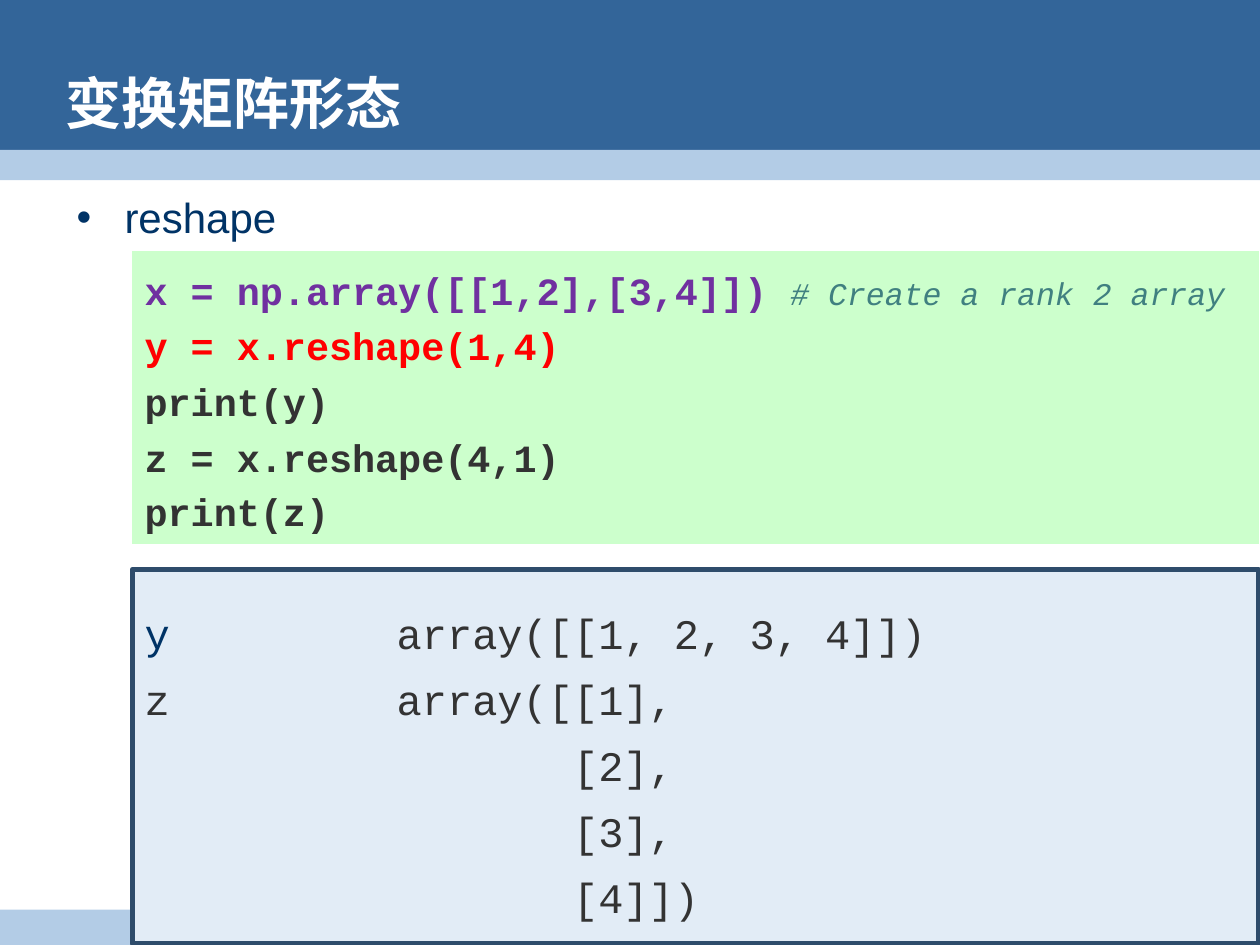
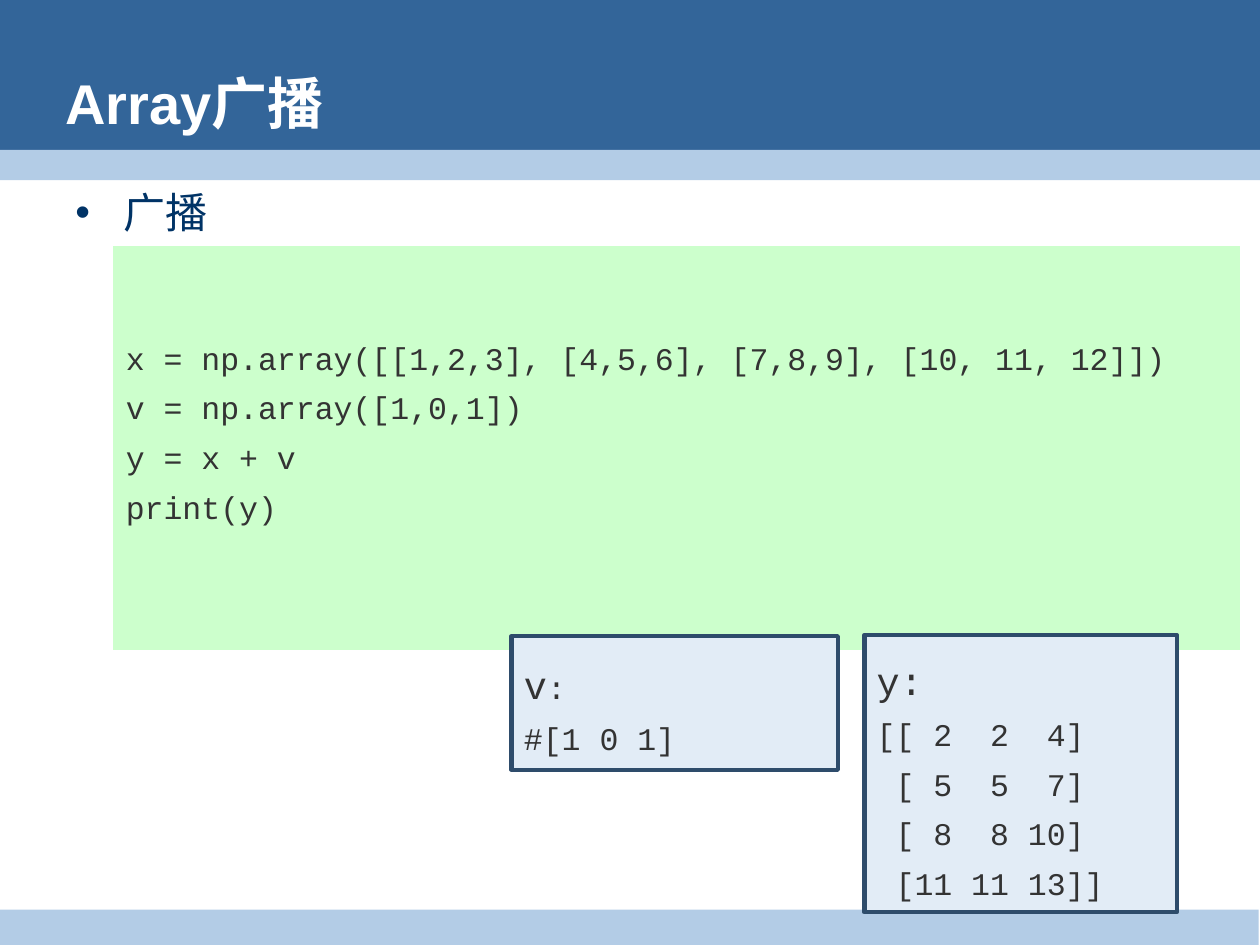
import dataclasses
import typing

import lxml.etree
import pptx
import pptx.dml.color
import pptx.enum.shapes
import pptx.enum.text
import pptx.oxml.ns
import pptx.shapes.autoshape
import pptx.slide
import pptx.text.text
import pptx.util

Inches = pptx.util.Inches
Pt = pptx.util.Pt
Preset = pptx.enum.shapes.MSO_SHAPE
Anchor = pptx.enum.text.MSO_ANCHOR


@dataclasses.dataclass(frozen=True)
class Theme:
    header: str = "336599"
    band: str = "B3CCE6"
    white: str = "FFFFFF"
    navy: str = "003366"
    ink: str = "333333"
    code_fill: str = "CCFFCC"
    output_fill: str = "E2ECF6"
    output_edge: str = "2E4C6B"
    array: str = "7030A0"
    comment: str = "408080"
    highlight: str = "FF0000"
    prose: str = "Arial"
    mono: str = "Courier New"
    title_size: float = 32
    body_size: float = 24
    code_size: float = 22
    small_size: float = 18


THEME = Theme()


class Box(typing.NamedTuple):
    left: float
    top: float
    width: float
    height: float

    def lengths(self) -> list[pptx.util.Length]:
        return [Inches(value) for value in self]


class Span(typing.NamedTuple):
    text: str
    color: str = THEME.ink
    size: float = THEME.small_size
    bold: bool = False
    italic: bool = False


class Line(typing.NamedTuple):
    spans: list[Span]
    before: float = 6.8
    spacing: float = 1.0


@dataclasses.dataclass(frozen=True)
class Card:
    box: Box
    lines: list[Line]
    preset: Preset = Preset.RECTANGLE
    fill: str = THEME.output_fill
    edge_width: float = 2.5
    top_inset: float = 0.14
    bottom_inset: float = 0.05
    tabs: tuple[int, ...] = ()


@dataclasses.dataclass(frozen=True)
class Page:
    title: str
    topic: str
    topic_box: Box
    cards: list[Card]


BANDS = [
    (Box(0, 0, 10, 1.31), THEME.header),
    (Box(0, 1.19, 10, 0.24), THEME.band),
    (Box(0, 7.22, 9.99, 0.3), THEME.band),
]
TITLE_BOX = Box(0.42, 0.52, 9.06, 0.58)


def rgb(color: str) -> pptx.dml.color.RGBColor:
    return pptx.dml.color.RGBColor.from_string(color)


def add_property(paragraph: pptx.text.text._Paragraph, tag: str, **attributes: str) -> lxml.etree._Element:
    properties = paragraph._p.get_or_add_pPr()
    return lxml.etree.SubElement(properties, pptx.oxml.ns.qn(tag), attributes)


def add_bullet(paragraph: pptx.text.text._Paragraph) -> None:
    properties = paragraph._p.get_or_add_pPr()
    properties.set("marL", str(Inches(0.38)))
    properties.set("indent", str(Inches(-0.38)))
    add_property(paragraph, "a:buFont", typeface=THEME.prose)
    add_property(paragraph, "a:buChar", char="•")


def add_tabs(paragraph: pptx.text.text._Paragraph, tabs: tuple[int, ...]) -> None:
    stops = add_property(paragraph, "a:tabLst")
    for tab in tabs:
        lxml.etree.SubElement(stops, pptx.oxml.ns.qn("a:tab"), pos=str(Inches(tab)), algn="l")


def write_text(
    frame: pptx.text.text.TextFrame,
    lines: list[Line],
    *,
    font: str = THEME.mono,
    anchor: Anchor = Anchor.MIDDLE,
    top_inset: float = 0.05,
    bottom_inset: float = 0.05,
    bullet: bool = False,
    tabs: tuple[int, ...] = (),
) -> None:
    frame.word_wrap = True
    frame.vertical_anchor = anchor
    frame.margin_left = frame.margin_right = Inches(0.1)
    frame.margin_top, frame.margin_bottom = Inches(top_inset), Inches(bottom_inset)
    for index, line in enumerate(lines):
        paragraph = frame.add_paragraph() if index else frame.paragraphs[0]
        if bullet:
            add_bullet(paragraph)
        if tabs:
            add_tabs(paragraph, tabs)
        paragraph.alignment = pptx.enum.text.PP_ALIGN.LEFT
        paragraph.line_spacing = line.spacing
        if index:
            paragraph.space_before = Pt(line.before)
        for span in line.spans:
            run = paragraph.add_run()
            run.text = span.text
            run.font.name = font
            run.font.size = Pt(span.size)
            run.font.bold = span.bold
            run.font.italic = span.italic
            run.font.color.rgb = rgb(span.color)


def add_panel(
    slide: pptx.slide.Slide, box: Box, fill: str, preset: Preset = Preset.RECTANGLE
) -> pptx.shapes.autoshape.Shape:
    panel = slide.shapes.add_shape(preset, *box.lengths())
    panel.shadow.inherit = False
    panel.fill.solid()
    panel.fill.fore_color.rgb = rgb(fill)
    panel.line.fill.background()
    return panel


def add_card(slide: pptx.slide.Slide, card: Card) -> None:
    panel = add_panel(slide, card.box, card.fill, card.preset)
    if card.edge_width:
        panel.line.color.rgb = rgb(THEME.output_edge)
        panel.line.width = Pt(card.edge_width)
    write_text(
        panel.text_frame,
        card.lines,
        top_inset=card.top_inset,
        bottom_inset=card.bottom_inset,
        tabs=card.tabs,
    )


def add_page(deck: pptx.presentation.Presentation, page: Page) -> None:
    slide = deck.slides.add_slide(deck.slide_layouts[6])
    for box, fill in BANDS:
        add_panel(slide, box, fill)
    topic = slide.shapes.add_textbox(*page.topic_box.lengths())
    write_text(
        topic.text_frame,
        [Line([Span(page.topic, THEME.navy, THEME.body_size)])],
        font=THEME.prose,
        anchor=Anchor.TOP,
        bullet=True,
    )
    title = slide.shapes.add_textbox(*TITLE_BOX.lengths())
    write_text(
        title.text_frame,
        [Line([Span(page.title, THEME.white, THEME.title_size, bold=True)])],
        font=THEME.prose,
    )
    for card in page.cards:
        add_card(slide, card)


def code_line(text: str, color: str = THEME.ink, comment: str = "", before: float = 8.2) -> Line:
    spans = [Span(text, color, THEME.code_size, bold=True)]
    if comment:
        spans.append(Span(comment, THEME.comment, italic=True))
    return Line(spans, before, 0.9)


def array_line(text: str, label: str = "", label_color: str = THEME.ink) -> Line:
    spans = [Span(label, label_color, THEME.body_size)] if label else []
    return Line([*spans, Span(text, size=THEME.body_size)], before=9)


def small_lines(*texts: str) -> list[Line]:
    return [Line([Span(text)]) for text in texts]


RESHAPE = Page(
    title="变换矩阵形态",
    topic="reshape",
    topic_box=Box(0.51, 1.47, 9.25, 5.83),
    cards=[
        Card(
            Box(1.05, 1.99, 8.94, 2.33),
            [
                code_line("x = np.array([[1,2],[3,4]]) ", THEME.array, "# Create a rank 2 array"),
                code_line("y = x.reshape(1,4)", THEME.highlight),
                code_line("print(y)"),
                code_line("z = x.reshape(4,1)"),
                code_line("print(z)", before=6.8),
            ],
            preset=Preset.FLOWCHART_PROCESS,
            fill=THEME.code_fill,
            edge_width=0,
        ),
        Card(
            Box(1.05, 4.52, 8.94, 2.97),
            [
                array_line("array([[1, 2, 3, 4]])", "y\t\t", THEME.navy),
                array_line("array([[1],", "z\t\t"),
                *(array_line(f"\t\t\t  {row}") for row in ("[2],", "[3],", "[4]])")),
            ],
            edge_width=3,
            top_inset=0.18,
            tabs=(1, 2, 3),
        ),
    ],
)

BROADCAST = Page(
    title="Array广播",
    topic="广播",
    topic_box=Box(0.5, 1.43, 9.25, 5.83),
    cards=[
        Card(
            Box(0.9, 1.95, 8.94, 3.21),
            small_lines(
                "x = np.array([[1,2,3], [4,5,6], [7,8,9], [10, 11, 12]])",
                "v = np.array([1,0,1])",
                "y = x + v",
                "print(y)",
            ),
            preset=Preset.FLOWCHART_PROCESS,
            fill=THEME.code_fill,
            edge_width=0,
            top_inset=0.05,
            bottom_inset=0.3,
        ),
        Card(
            Box(4.06, 5.05, 2.59, 1.06),
            [Line([Span("v", size=THEME.code_size), Span(":")]), *small_lines("#[1 0 1]")],
        ),
        Card(
            Box(6.86, 5.04, 2.48, 2.2),
            [
                Line([Span("y:", size=THEME.code_size)]),
                *small_lines("[[ 2  2  4]", " [ 5  5  7]", " [ 8  8 10]", " [11 11 13]]"),
            ],
        ),
    ],
)


def main() -> None:
    deck = pptx.Presentation()
    deck.slide_width, deck.slide_height = Inches(10), Inches(7.5)
    for page in (RESHAPE, BROADCAST):
        add_page(deck, page)
    deck.save("out.pptx")


if __name__ == "__main__":
    main()
